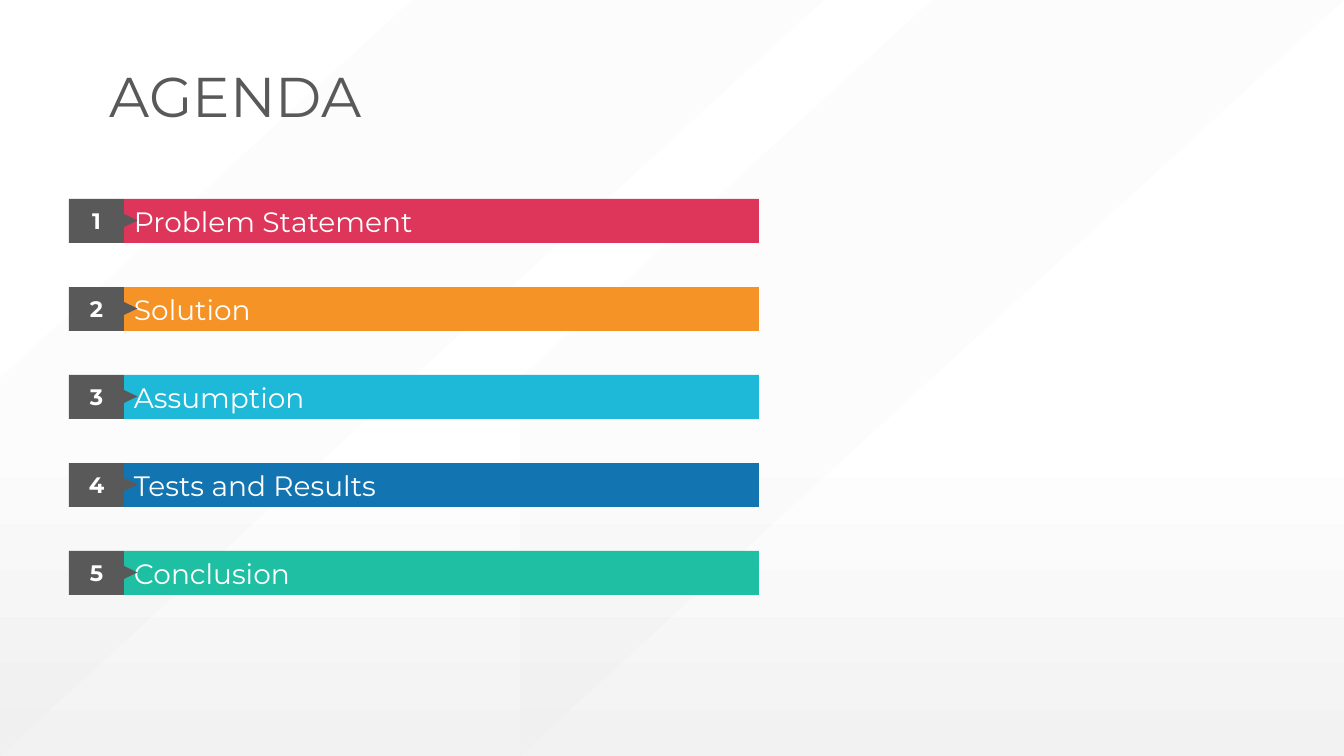
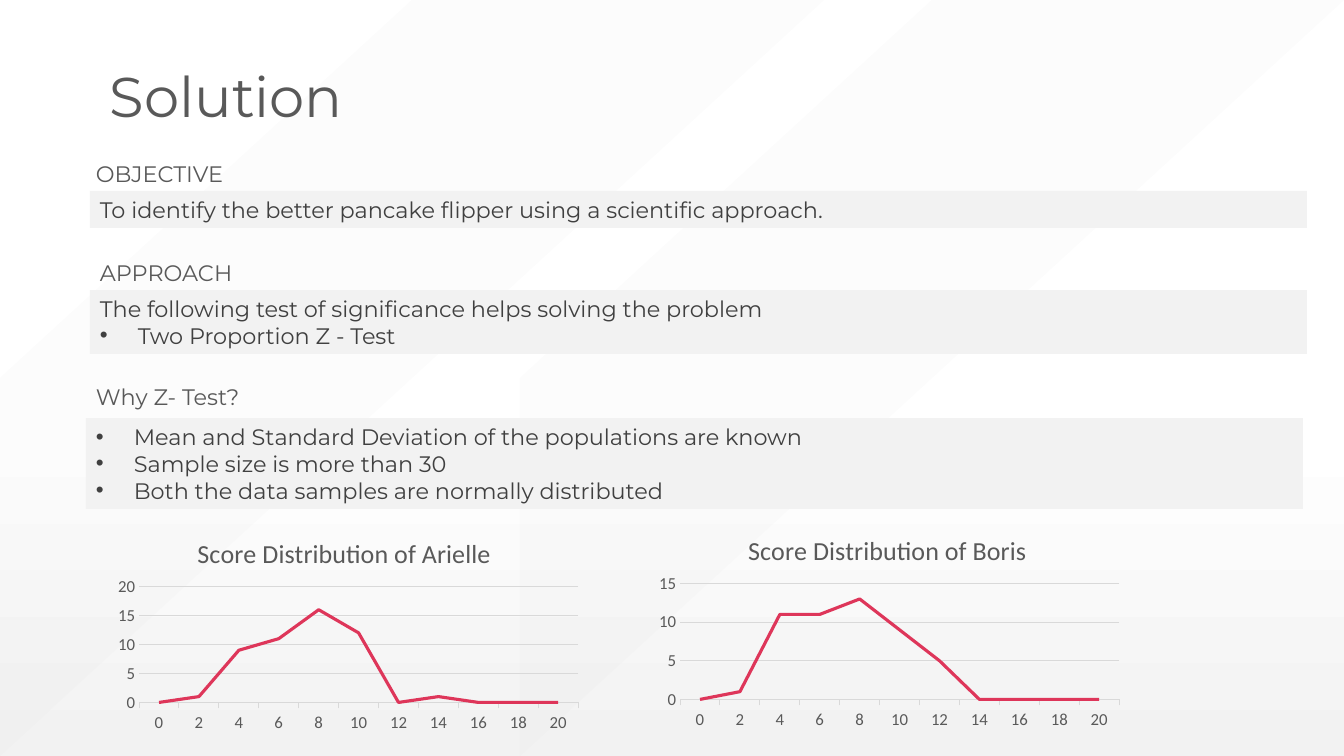
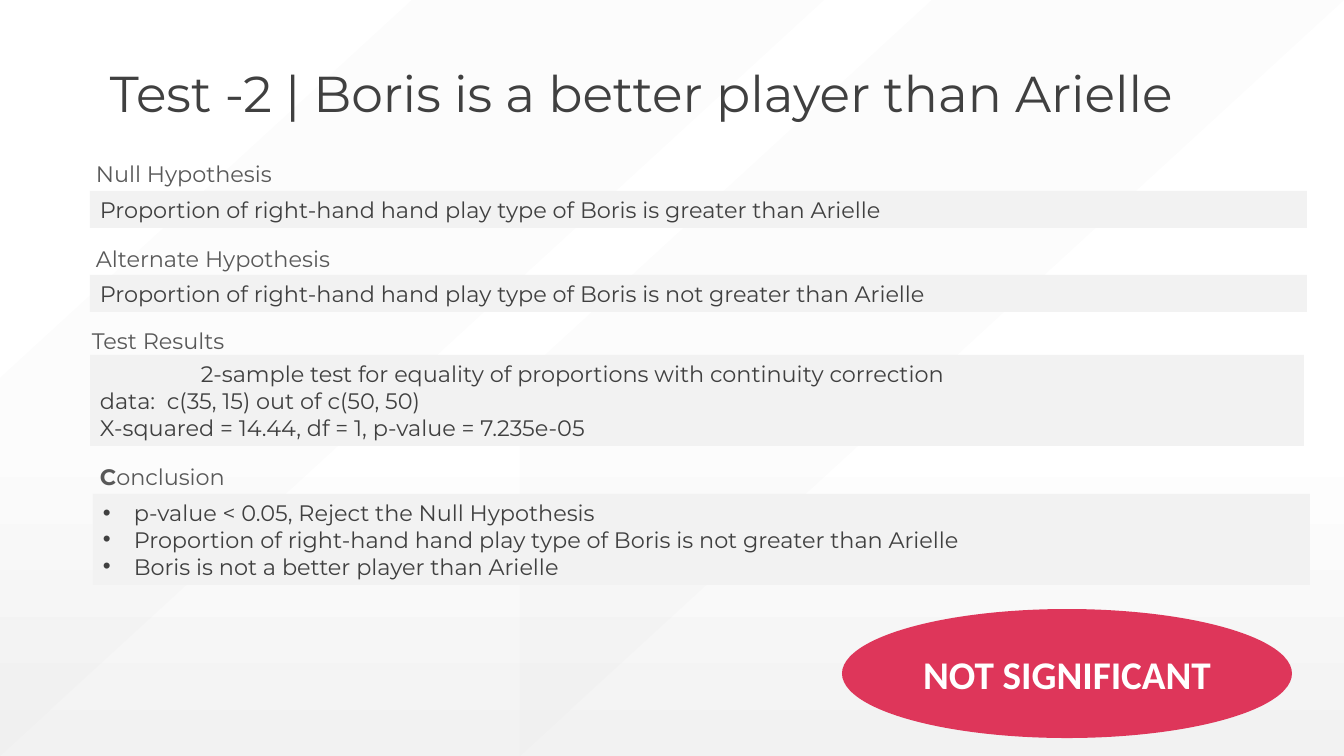
from pptx import Presentation
from pptx.chart.data import CategoryChartData
from pptx.dml.color import RGBColor
from pptx.enum.chart import XL_CHART_TYPE, XL_MARKER_STYLE, XL_TICK_MARK
from pptx.enum.shapes import MSO_SHAPE
from pptx.enum.text import MSO_ANCHOR, MSO_AUTO_SIZE, PP_ALIGN
from pptx.oxml import parse_xml
from pptx.oxml.ns import nsdecls, qn
from pptx.util import Emu, Pt

RECTANGLE, TRIANGLE = MSO_SHAPE.RECTANGLE, MSO_SHAPE.ISOSCELES_TRIANGLE
ELLIPSE, STRIPE = MSO_SHAPE.OVAL, MSO_SHAPE.DIAGONAL_STRIPE
TOP, MIDDLE = MSO_ANCHOR.TOP, MSO_ANCHOR.MIDDLE
LEFT, CENTER = PP_ALIGN.LEFT, PP_ALIGN.CENTER
GROW, FIXED = MSO_AUTO_SIZE.SHAPE_TO_FIT_TEXT, MSO_AUTO_SIZE.NONE
LINE = XL_CHART_TYPE.LINE
NO_MARKER = XL_MARKER_STYLE.NONE
TICK_OUT, TICK_NONE = XL_TICK_MARK.OUTSIDE, XL_TICK_MARK.NONE

SCALE = 914400 / 100.8
WIDTH, HEIGHT = 1344, 756
WHITE, PALE, GRID = "FFFFFF", "F2F2F2", "D9D9D9"
GRAY, DARK, RED = "595959", "404040", "DE365A"
HEADING_FONT, CHART_FONT = "Montserrat", "Calibri"


def px(value):
    return Emu(round(value * SCALE))


def rgb(value):
    return RGBColor.from_string(value)


def set_format(target, values):
    for name, value in values.items():
        setattr(target, name, value)


def style_font(font, size, color, name=HEADING_FONT, bold=False):
    set_format(font, {"size": Pt(size), "name": name, "bold": bold})
    font.color.rgb = rgb(color)


def set_layout(parent, index, target="", **fractions):
    """Place a chart part by fractions of the chart's size."""
    for layout in parent.findall(qn("c:layout")):
        parent.remove(layout)
    modes = "".join(f'<c:{key}Mode val="edge"/>' for key in "xy")
    values = "".join(f'<c:{key} val="{value:.2f}"/>' for key, value in fractions.items())
    parent.insert(index, parse_xml(
        f'<c:layout {nsdecls("c")}><c:manualLayout>{target}{modes}{values}'
        "</c:manualLayout></c:layout>"))


class Deck:
    def __init__(self):
        self.presentation = Presentation()
        set_format(self.presentation, {"slide_width": px(WIDTH), "slide_height": px(HEIGHT)})
        self.slide = None

    def new_slide(self, title, size=40, color=GRAY):
        self.slide = self.presentation.slides.add_slide(self.presentation.slide_layouts[6])
        # Shared background
        fill = self.slide.background.fill
        fill.gradient()
        fill.gradient_angle = 270
        for stop, position, shade in zip(fill.gradient_stops, (0.57, 1), (WHITE, PALE)):
            stop.position = position
            stop.color.rgb = rgb(shade)
        stripe_width = 824
        for left in (0, WIDTH - stripe_width):
            self.shape(STRIPE, left, 0, stripe_width, HEIGHT, GRID, opacity=8)
        # Shared title
        box = self.text_box(100, 64, 1190, 61, [title], size, color, fit=FIXED)
        box.text_frame.paragraphs[0].line_spacing = 0.9

    def shape(self, kind, left, top, width, height, color, opacity=100, rotation=0):
        shape = self.slide.shapes.add_shape(kind, px(left), px(top), px(width), px(height))
        shape.shadow.inherit = False
        shape.rotation = rotation
        shape.fill.solid()
        shape.fill.fore_color.rgb = rgb(color)
        shape.line.fill.background()
        if opacity < 100:
            shape.element.spPr.find(".//" + qn("a:srgbClr")).append(
                parse_xml(f'<a:alpha {nsdecls("a")} val="{opacity * 1000}"/>'))
        return shape

    def text_box(self, left, top, width, height, paragraphs, size, color, fit=GROW):
        box = self.slide.shapes.add_textbox(px(left), px(top), px(width), px(height))
        self.add_text(box, paragraphs, size, color, fit=fit)
        return box

    def add_text(self, shape, paragraphs, size, color, font=HEADING_FONT, bold=False,
                 anchor=TOP, align=LEFT, fit=FIXED):
        """Each paragraph is a string or a list of (text, bold) runs."""
        frame = shape.text_frame
        set_format(frame, {"word_wrap": True, "auto_size": fit, "vertical_anchor": anchor})
        for index, content in enumerate(paragraphs):
            paragraph = frame.add_paragraph() if index else frame.paragraphs[0]
            paragraph.alignment = align
            runs = [(content, bold)] if isinstance(content, str) else content
            for text, run_bold in runs:
                run = paragraph.add_run()
                run.text = text
                style_font(run.font, size, color, font, run_bold)

    def indent(self, paragraph, margin, bullet=False):
        properties = paragraph._p.get_or_add_pPr()
        properties.set("marL", str(px(margin)))
        properties.set("indent", str(-px(margin) if bullet else 0))
        if bullet:
            properties.append(parse_xml(f'<a:buFont {nsdecls("a")} typeface="Arial"/>'))
            properties.append(parse_xml(f'<a:buChar {nsdecls("a")} char="\u2022"/>'))

    def agenda_item(self, number, label, top, color):
        height = 44
        bar = self.shape(RECTANGLE, 124, top, 635, height, color)
        self.add_text(bar, [label], 20, WHITE, anchor=MIDDLE, fit=GROW)
        badge = self.shape(RECTANGLE, 69, top, 55, height, GRAY)
        self.add_text(badge, [str(number)], 16, WHITE, bold=True, anchor=MIDDLE, align=CENTER)
        self.shape(TRIANGLE, 115, top + 10, 22, 23, GRAY, rotation=90)

    def heading(self, left, top, content):
        self.text_box(left, top, 325, 37, [content], 16, GRAY)

    def panel(self, left, top, lines, bullets=(), margin=38, width=1217):
        panel = self.shape(RECTANGLE, left, top, width, 10 + 27 * len(lines), PALE)
        self.add_text(panel, lines, 16, DARK, fit=GROW)
        for index in bullets:
            self.indent(panel.text_frame.paragraphs[index], margin, bullet=True)
        return panel

    def line_chart(self, left, top, title, title_left, values, maximum):
        width, height = 488, 223
        data = CategoryChartData()
        data.categories = [str(2 * index) for index in range(len(values))]
        data.add_series("Series 1", values)
        chart = self.slide.shapes.add_chart(
            LINE, px(left), px(top), px(width), px(height), data).chart
        set_format(chart, {"has_legend": False, "has_title": True})
        style_font(chart.font, 12, GRAY, CHART_FONT)

        # Title and plot area
        frame = chart.chart_title.text_frame
        frame.text = title
        style_font(frame.paragraphs[0].runs[0].font, 18.6, GRAY, CHART_FONT)
        set_layout(chart.chart_title.element, 1, x=(title_left - left) / width, y=0.08)
        plot_area = next(chart.element.iter(qn("c:plotArea")))
        set_layout(plot_area, 0, '<c:layoutTarget val="inner"/>', x=0.08, y=0.33, w=0.9, h=0.52)

        # Series
        plot = chart.plots[0]
        plot.vary_by_categories = False
        series = plot.series[0]
        series.smooth = False
        series.marker.style = NO_MARKER
        series.format.line.width = Pt(2.25)
        series.format.line.color.rgb = rgb(RED)

        # Axes
        category_axis, value_axis = chart.category_axis, chart.value_axis
        set_format(category_axis, {"major_tick_mark": TICK_OUT, "has_major_gridlines": False})
        set_format(value_axis, {"major_tick_mark": TICK_NONE, "has_major_gridlines": True,
                                "minimum_scale": 0, "maximum_scale": maximum, "major_unit": 5})
        for axis in (category_axis, value_axis):
            style_font(axis.tick_labels.font, 12, GRAY, CHART_FONT)
        for line in (category_axis.format.line, value_axis.major_gridlines.format.line):
            line.width = Pt(0.75)
            line.color.rgb = rgb(GRID)
        value_axis.format.line.fill.background()
        axis_element = next(plot_area.iter(qn("c:valAx")))
        for crossing in axis_element.findall(qn("c:crossBetween")):
            axis_element.remove(crossing)
        axis_element.insert_element_before(
            parse_xml(f'<c:crossBetween {nsdecls("c")} val="between"/>'),
            "c:majorUnit", "c:minorUnit", "c:dispUnits", "c:extLst")


deck = Deck()

# Agenda
deck.new_slide("AGENDA")
agenda = [
    ("Problem Statement", RED),
    ("Solution", "F69326"),
    ("Assumption", "1EB9D8"),
    ("Tests and Results", "1275B2"),
    ("Conclusion", "1FBFA4"),
]
for index, (label, color) in enumerate(agenda):
    deck.agenda_item(index + 1, label, 199 + 88 * index, color)

# Solution
deck.new_slide("Solution")
deck.heading(86, 155, "OBJECTIVE")
deck.panel(90, 191, ["To identify the better pancake flipper using a scientific approach."])
deck.heading(90, 254, "APPROACH")
deck.panel(90, 290, ["The following test of significance helps solving the problem",
                     "Two Proportion Z - Test"], bullets=[1])
deck.heading(86, 378, "Why Z- Test?")
deck.panel(86, 418, ["Mean and Standard Deviation of the populations are known",
                     "Sample size is more than 30",
                     "Both the data samples are normally distributed"], bullets=range(3))
deck.line_chart(100, 513, "Score Distribution of Arielle", 194,
                [0, 1, 9, 11, 16, 12, 0, 1, 0, 0, 0], 20)
deck.line_chart(641, 510, "Score Distribution of Boris", 742,
                [0, 1, 11, 11, 13, 9, 5, 0, 0, 0, 0], 15)

# Second test
deck.new_slide("Test -2 | Boris is a better player than Arielle", 36, DARK)
deck.heading(86, 155, "Null Hypothesis")
deck.panel(90, 191, ["Proportion of right-hand hand play type of Boris is greater than Arielle"])
deck.heading(86, 240, "Alternate Hypothesis")
deck.panel(90, 275, ["Proportion of right-hand hand play type of Boris is not greater than Arielle"])
deck.heading(82, 322, "Test Results")
results = deck.panel(90, 355, [
    "2-sample test for equality of proportions with continuity correction",
    "data:  c(35, 15) out of c(50, 50)",
    "X-squared = 14.44, df = 1, p-value = 7.235e-05"], width=1214)
deck.indent(results.text_frame.paragraphs[0], 101)
deck.heading(90, 458, [("C", True), ("onclusion", False)])
deck.panel(93, 494, [
    "p-value < 0.05, Reject the Null Hypothesis",
    "Proportion of right-hand hand play type of Boris is not greater than Arielle",
    "Boris is not a better player than Arielle"], bullets=range(3), margin=31)
verdict = deck.shape(ELLIPSE, 842, 609, 450, 129, RED)
deck.add_text(verdict, ["NOT SIGNIFICANT"], 28, WHITE, CHART_FONT, bold=True,
              anchor=MIDDLE, align=CENTER)

deck.presentation.save("out.pptx")
